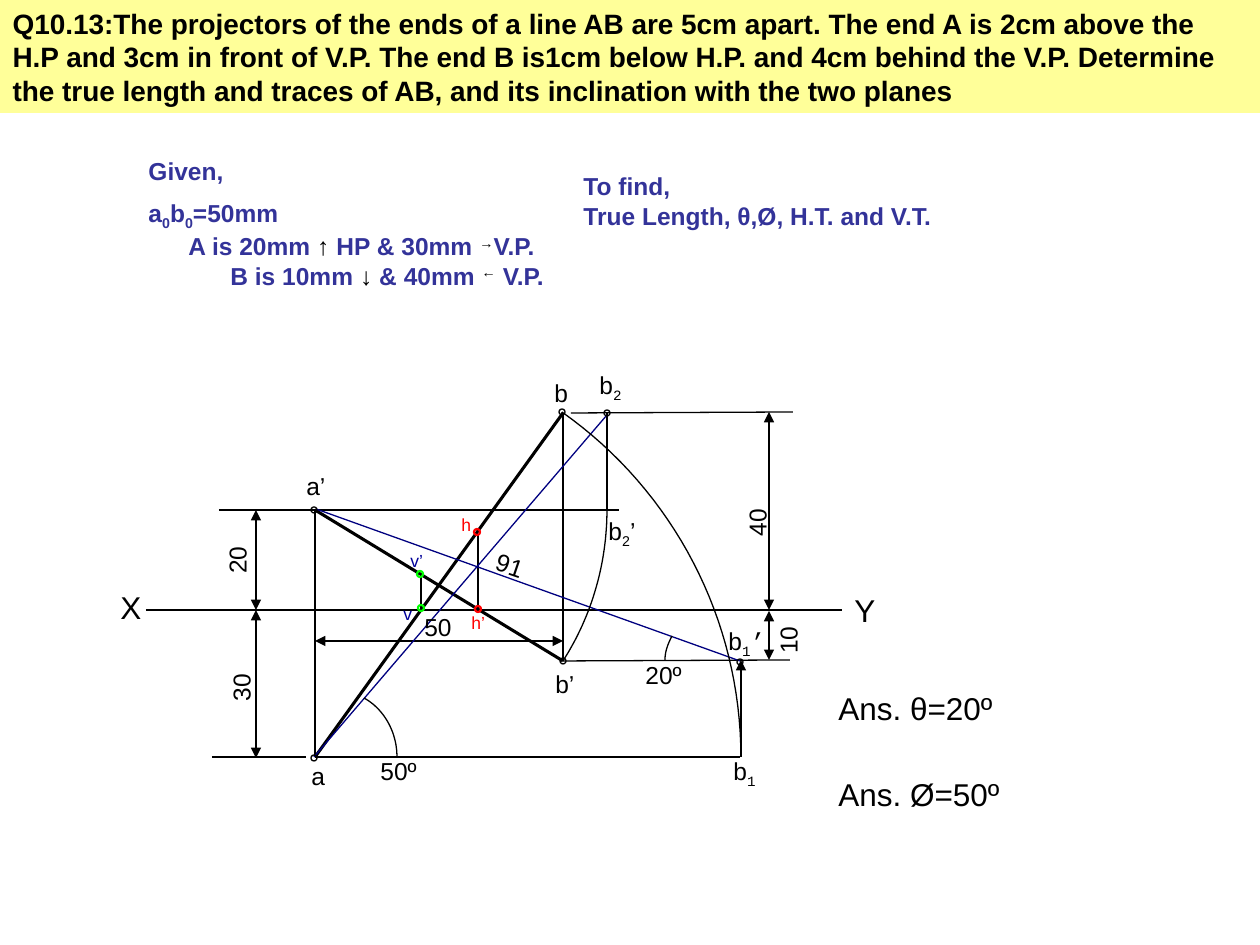
from lxml import etree
from pptx import Presentation
from pptx.dml.color import RGBColor
from pptx.enum.shapes import MSO_CONNECTOR, MSO_SHAPE
from pptx.enum.text import MSO_ANCHOR, MSO_AUTO_SIZE, PP_ALIGN
from pptx.oxml.ns import qn
from pptx.util import Pt

OVAL = MSO_SHAPE.OVAL
LINE = MSO_CONNECTOR.STRAIGHT
TOP = MSO_ANCHOR.TOP
LEFT = PP_ALIGN.LEFT
FIXED = MSO_AUTO_SIZE.NONE
PX = 914400 / 126
SANS, MONO = "Arial", "Courier New"
HUES = {"black": "000000", "navy": "000080", "ink": "333399", "blue": "000099",
        "red": "FF0000", "green": "00FF00", "pale": "FFFF99"}
COLOR = {name: RGBColor.from_string(code) for name, code in HUES.items()}


def px(*nums):
    return [round(n * PX) for n in nums]


def write(para, parts, size, hue, bold=False):
    """Add runs; a part is a string or (text, baseline %, font, hue)."""
    para.alignment = LEFT
    for part in parts:
        text, base, face, tint = (part, 0, SANS, hue) if isinstance(part, str) else part
        run = para.add_run()
        run.text = text
        run.font.size = Pt(size)
        run.font.name = face
        run.font.bold = bold
        run.font.color.rgb = COLOR[tint]
        if base:
            run.font._element.set("baseline", str(base * 1000))


deck = Presentation()
deck.slide_width, deck.slide_height = px(1260, 945)
slide = deck.slides.add_slide(deck.slide_layouts[5])
shapes = slide.shapes

# Question
title = shapes.title
title.left, title.top, title.width, title.height = px(0, 0, 1260, 113)
title.fill.solid()
title.fill.fore_color.rgb = COLOR["pale"]
frame = title.text_frame
frame.auto_size = FIXED
frame.vertical_anchor = TOP
frame.word_wrap = True
write(frame.paragraphs[0], [
    "Q10.13:The projectors of the ends of a line AB are 5cm apart. "
    "The end A is 2cm above the H.P and 3cm in front of V.P. "
    "The end B is1cm below H.P. and 4cm behind the V.P. Determine "
    "the true length and traces of AB, and its inclination with the two planes",
], 16, "black", True)

# Lines: x1, y1, x2, y2, hue, width, arrowheads
lines = [
    (146, 610, 842, 610, "black", 0.75, ()),
    (315, 510, 315, 757, "black", 0.75, ()),
    (563, 413, 563, 660, "black", 0.75, ()),
    (219, 510, 315, 510, "black", 0.75, ()),
    (315, 510, 619, 510, "black", 0.75, ()),
    (212, 757, 306, 757, "black", 0.75, ()),
    (315, 757, 740, 757, "black", 0.75, ()),
    (793, 412, 571, 413, "black", 0.75, ()),
    (790, 660, 563, 661, "black", 0.75, ()),
    (607, 510, 607, 413, "black", 0.75, ()),
    (478, 610, 478, 534, "black", 0.75, ()),
    (421, 609, 421, 575, "black", 0.75, ()),
    (315, 641, 563, 641, "black", 0.75, ("head", "tail")),
    (256, 610, 256, 510, "black", 0.75, ("head", "tail")),
    (256, 758, 256, 610, "black", 0.75, ("head", "tail")),
    (769, 610, 769, 412, "black", 0.75, ("head", "tail")),
    (769, 660, 769, 611, "black", 0.75, ("head", "tail")),
    (741, 757, 741, 660, "black", 0.75, ("tail",)),
    (315, 757, 563, 413, "black", 1.75, ()),
    (315, 510, 563, 661, "black", 1.75, ()),
    (316, 509, 740, 661, "navy", 0.75, ()),
    (607, 415, 314, 757, "navy", 0.75, ()),
]
for x1, y1, x2, y2, hue, width, ends in lines:
    line = shapes.add_connector(LINE, *px(x1, y1, x2, y2))
    line.line.color.rgb = COLOR[hue]
    line.line.width = Pt(width)
    props = line._element.spPr
    for end in ends:
        etree.SubElement(props.find(qn("a:ln")), qn(f"a:{end}End"), type="triangle")
    etree.SubElement(props, qn("a:effectLst"))

# Arcs, each a cubic curve through four control points
arcs = [
    ((562, 412), (674, 491), (741, 620), (741, 757)),
    ((672, 636), (668, 644), (665, 651), (665, 660)),
    ((607, 510), (607, 563), (592, 616), (563, 661)),
    ((364, 698), (384, 709), (397, 732), (397, 757)),
]
STEPS = 32
for curve in arcs:
    dots = []
    for step in range(STEPS + 1):
        t = step / STEPS
        rates = ((1 - t) ** 3, 3 * t * (1 - t) ** 2, 3 * t * t * (1 - t), t ** 3)
        dots.append(px(*(sum(r * c for r, c in zip(rates, axis)) for axis in zip(*curve))))
    pen = shapes.build_freeform(*dots[0])
    pen.add_line_segments(dots[1:], close=False)
    arc = pen.convert_to_shape()
    arc.shadow.inherit = False
    arc.fill.background()
    arc.line.color.rgb = COLOR["black"]
    arc.line.width = Pt(0.75)

# Points, by centre
points = [
    (314, 510, "black"), (314, 758, "black"), (562, 412, "black"),
    (563, 661, "black"), (740, 662, "black"), (607, 413, "black"),
    (478, 609, "red"), (477, 532, "red"), (420, 574, "green"), (421, 608, "green"),
]
for x, y, hue in points:
    dot = shapes.add_shape(OVAL, *px(x - 3, y - 3, 6, 6))
    dot.shadow.inherit = False
    dot.fill.background()
    dot.line.color.rgb = COLOR[hue]
    dot.line.width = Pt(0.75 if hue == "black" else 1.25)

# Texts: x, y, w, h, turn, size, hue, bold, paragraphs as (indent, space before, parts)
one = ("1", -25, MONO, "black")
labels = [
    (108, 582, 74, 50, 0, 18, "black", ["X"]),
    (842, 585, 67, 50, 0, 18, "black", ["Y"]),
    (412, 606, 53, 42, 0, 14, "black", ["50"]),
    (199, 527, 76, 42, 270, 14, "black", ["20"]),
    (203, 655, 76, 42, 270, 14, "black", ["30"]),
    (719, 490, 76, 42, 270, 14, "black", ["40"]),
    (750, 607, 76, 42, 270, 14, "black", ["10"]),
    (484, 544, 53, 42, 18.8, 14, "black", ["91"]),
    (294, 465, 53, 42, 0, 14, "black", ["a’"]),
    (299, 755, 53, 42, 0, 14, "black", ["a"]),
    (542, 372, 53, 42, 0, 14, "black", ["b"]),
    (543, 663, 53, 42, 0, 14, "black", ["b’"]),
    (721, 750, 71, 42, 0, 14, "black", ["b", one]),
    (716, 620, 71, 42, 0, 14, "black", ["b", one, ("’", 0, MONO, "black")]),
    (587, 364, 71, 42, 0, 14, "black", ["b", ("2", -25, MONO, "black")]),
    (596, 510, 71, 42, 0, 14, "black", ["b", ("2", -25, SANS, "black"), "’"]),
    (633, 654, 84, 42, 0, 14, "black", ["20º"]),
    (368, 750, 84, 42, 0, 14, "black", ["50º"]),
    (826, 683, 253, 50, 0, 18, "black", ["Ans. θ=20º"]),
    (826, 769, 253, 50, 0, 18, "black", ["Ans. Ø=50º"]),
    (459, 606, 50, 34, 0, 10, "red", ["h’"]),
    (449, 508, 50, 34, 0, 10, "red", ["h"]),
    (391, 597, 50, 34, 0, 10, "blue", ["v"]),
    (398, 544, 60, 34, 0, 10, "blue", ["v’"]),
]
zero = ("0", -25, SANS, "ink")
given = [
    (0, 0, ["Given,"]),
    (0, 7, ["a", zero, "b", zero, "=50mm"]),
    (40, 0, ["A is 20mm ", ("↑", 0, SANS, "black"), " HP & 30mm ",
             ("→", 30, SANS, "black"), "V.P."]),
    (82, 0, ["B is 10mm ", ("↓", 0, SANS, "black"), " & 40mm ",
             ("←", 30, SANS, "black"), " V.P."]),
]
find = [(0, 0, ["To find,"]), (0, 0, ["True Length, θ,Ø, H.T. and V.T."])]
texts = [(*row[:7], False, [(0, 0, row[7])]) for row in labels]
texts += [
    (136, 150, 432, 145, 0, 14, "ink", True, given),
    (571, 165, 432, 72, 0, 14, "ink", True, find),
]
for x, y, w, h, turn, size, hue, bold, paras in texts:
    box = shapes.add_textbox(*px(x, y, w, h))
    box.rotation = turn
    frame = box.text_frame
    frame.word_wrap = True
    for spot, (indent, gap, parts) in enumerate(paras):
        para = frame.add_paragraph() if spot else frame.paragraphs[0]
        if indent:
            para._p.get_or_add_pPr().set("marL", str(px(indent)[0]))
        if gap:
            para.space_before = Pt(gap)
        write(para, parts, size, hue, bold)

deck.save("out.pptx")
